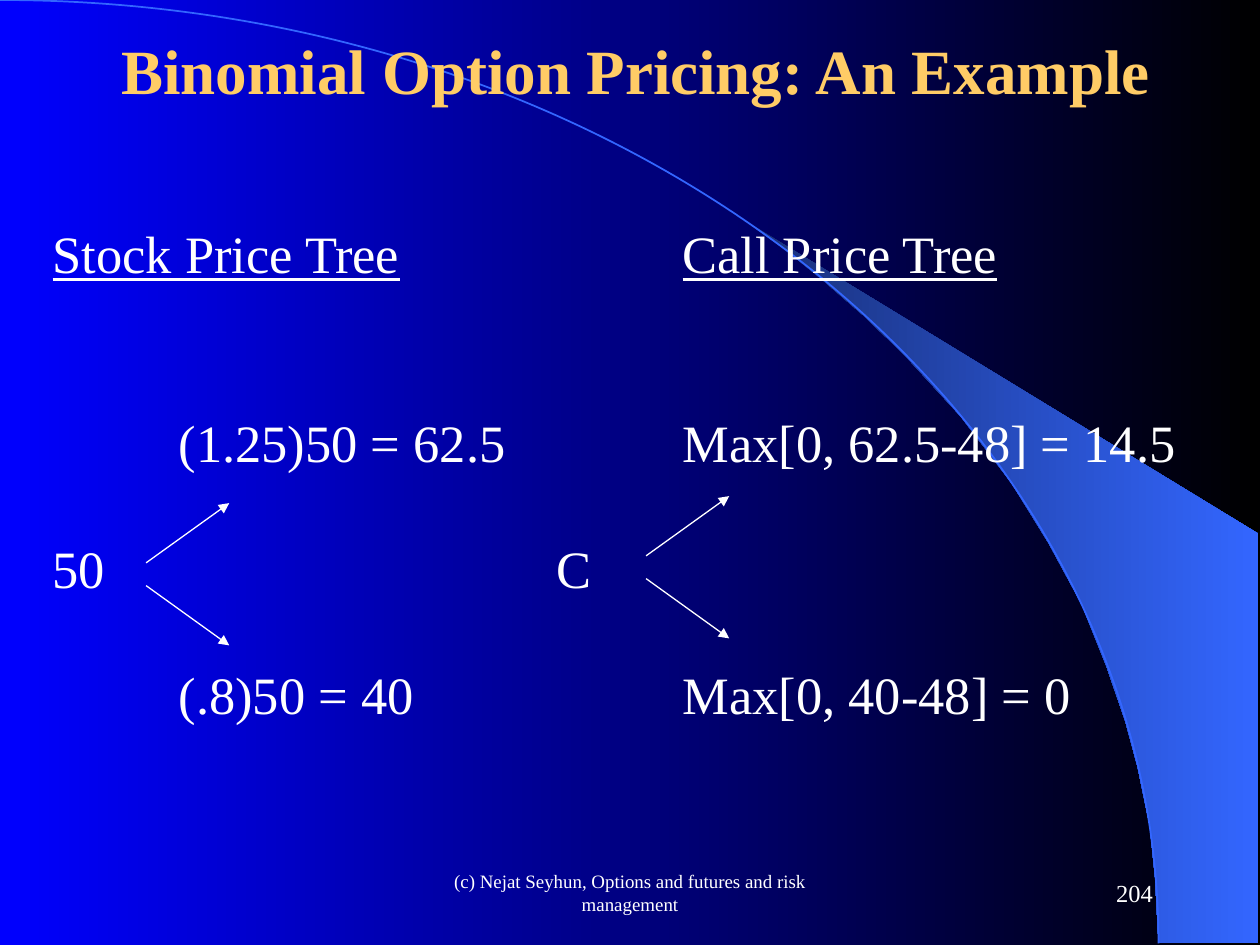
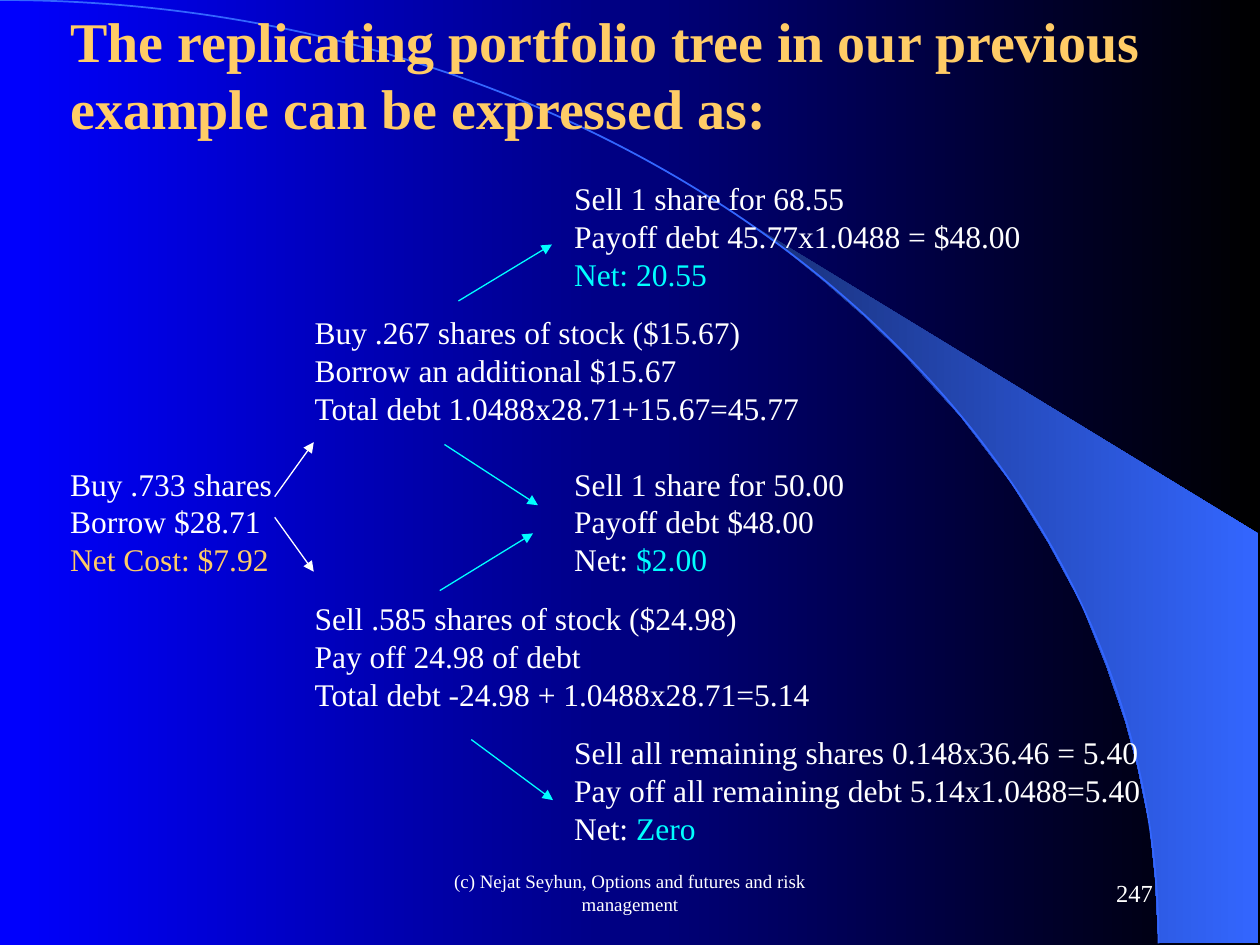
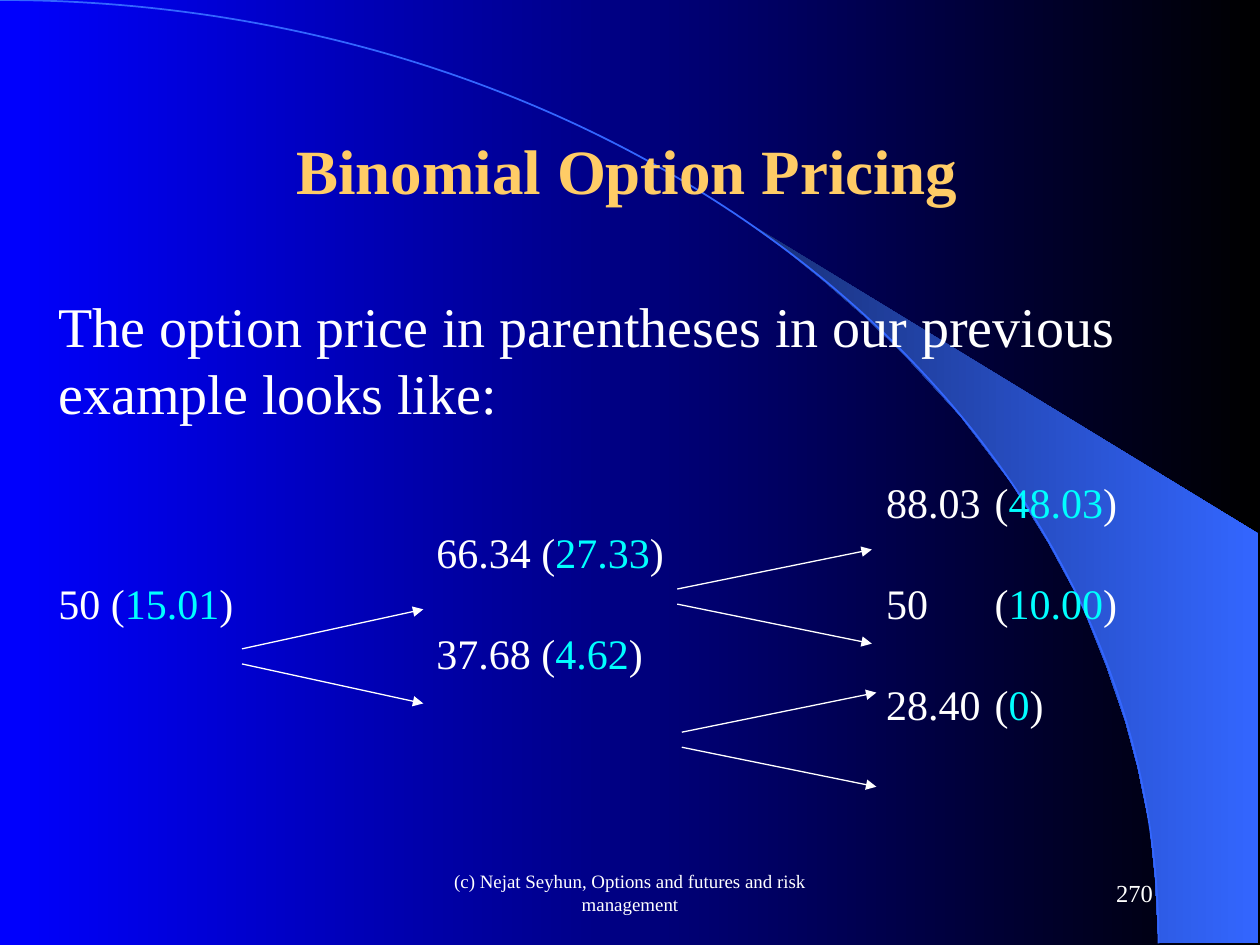
from dataclasses import dataclass

import lxml.etree
import pptx
import pptx.dml.color
import pptx.enum.shapes
import pptx.enum.text
import pptx.oxml
import pptx.oxml.ns
import pptx.util

Pt = pptx.util.Pt
Align = pptx.enum.text.PP_ALIGN
Anchor = pptx.enum.text.MSO_ANCHOR


@dataclass(frozen=True)
class Theme:
    font: str = "Times New Roman"
    text: str = "FFFFFF"
    title: str = "FFCC66"
    accent: str = "00FFFF"
    arc: str = "3366FF"
    background: tuple = ("0000FF", "000000")
    band: tuple = ("182F76", "3366FF")
    large: float = 36
    heading: float = 32
    tree: float = 30
    prices: float = 24
    portfolio: float = 18
    number: float = 14
    footer: float = 10.8


THEME = Theme()
SLIDE_SIZE = (720, 540)
FOOTER = "(c) Nejat Seyhun, Options and futures and risk management"
FOOTER_BOX = (246, 492, 228, 36)
NUMBER_BOX = (516, 492, 150, 36)
# Start, two control points and end of the arc
ARC_CURVE = [(0, 0), (365.8, 0), (662.4, 241.2), (662.4, 539.3)]
BAND_OUTLINE = [
    (662.4, 538.6), (719.3, 539.3), (719.3, 304.6), (424.1, 124.6),
    (449.3, 143.3), (470.2, 159.8), (493.2, 180), (515.5, 201.6),
    (548.6, 237.6), (578.2, 276.5), (599, 310.3), (617.8, 344.9),
    (632.2, 380.2), (643, 411.8), (650.2, 438.5), (657.4, 472.3),
    (660.2, 501.1),
]


@dataclass
class Row:
    """One line of text: plain strings or (text, format) pairs."""
    runs: tuple
    before: float = 0


def row(*runs, before=0):
    return Row(runs, before)


def colour(value):
    return pptx.dml.color.RGBColor.from_string(value)


def apply(target, values):
    for name, value in values.items():
        setattr(target, name, value)


def place(shape, box):
    apply(shape, dict(zip(("left", "top", "width", "height"), map(Pt, box))))


def gradient(fill, colours):
    fill.gradient()
    fill.gradient_angle = 0
    for stop, value in zip(fill.gradient_stops, colours):
        stop.color.rgb = colour(value)


def set_tabs(paragraph, tabs):
    """Set left tab stops, given in points."""
    stops = "".join(f'<a:tab pos="{int(Pt(tab))}" algn="l"/>' for tab in tabs)
    paragraph._p.get_or_add_pPr().append(pptx.oxml.parse_xml(
        f'<a:tabLst {pptx.oxml.ns.nsdecls("a")}>{stops}</a:tabLst>'))


def write(shape, box, rows, size, tabs=(), align=Align.LEFT,
          anchor=Anchor.TOP, **style):
    """Place a text shape and fill it with rows in one base style."""
    place(shape, box)
    frame = shape.text_frame
    apply(frame, {"word_wrap": True, "vertical_anchor": anchor,
                  "auto_size": pptx.enum.text.MSO_AUTO_SIZE.NONE})
    base = {"name": THEME.font, "size": size, "color": THEME.text, **style}
    for index, line in enumerate(rows):
        paragraph = frame.paragraphs[0] if index == 0 else frame.add_paragraph()
        if tabs:
            set_tabs(paragraph, tabs)
        apply(paragraph, {"alignment": align, "space_before": Pt(line.before)})
        for part in line.runs:
            text, extra = (part, {}) if isinstance(part, str) else part
            run = paragraph.add_run()
            run.text = text
            values = {**base, **extra}
            run.font.color.rgb = colour(values.pop("color"))
            values["size"] = Pt(values["size"])
            apply(run.font, values)


# Shared parts

def outline(slide, points, close):
    builder = slide.shapes.build_freeform(*points[0], scale=float(Pt(1)))
    builder.add_line_segments(points[1:], close=close)
    shape = builder.convert_to_shape()
    shape.shadow.inherit = False
    return shape


def bend(shape):
    """Turn the three segments of an outline into one cubic curve."""
    tag = pptx.oxml.ns.qn
    segments = list(shape.element.iter(tag("a:lnTo")))
    curve = lxml.etree.SubElement(segments[0].getparent(),
                                  tag("a:cubicBezTo"))
    for segment in segments:
        curve.append(segment[0])
        segment.getparent().remove(segment)


def decorate_master(deck, slide):
    """Give the master its gradient, band and arc, drawn through a slide."""
    master = deck.slide_master
    gradient(master.background.fill, THEME.background)

    band = outline(slide, BAND_OUTLINE, close=True)
    gradient(band.fill, THEME.band)
    band.line.fill.background()

    arc = outline(slide, ARC_CURVE, close=False)
    bend(arc)
    arc.fill.background()
    arc.line.color.rgb = colour(THEME.arc)
    arc.line.width = Pt(1)

    for position, part in enumerate((band, arc), start=2):
        master.shapes.element.insert(position, part.element)


def add_text(slide, box, rows, size, **layout):
    write(slide.shapes.add_textbox(0, 0, 0, 0), box, rows, size, **layout)


def add_slide(deck, number):
    slide = deck.slides.add_slide(deck.slide_layouts.get_by_name("Title Only"))
    for text, box, size, align in (
            (FOOTER, FOOTER_BOX, THEME.footer, Align.CENTER),
            (number, NUMBER_BOX, THEME.number, Align.RIGHT)):
        add_text(slide, box, [row(text)], size, align=align,
                 anchor=Anchor.MIDDLE)
    return slide


def add_title(slide, box, text, size, **layout):
    write(slide.shapes.title, box, [row(text)], size,
          color=THEME.title, bold=True, **layout)


def add_arrow(shapes, start, end, line_colour):
    arrow = shapes.add_connector(pptx.enum.shapes.MSO_CONNECTOR.STRAIGHT,
                                 *map(Pt, (*start, *end)))
    arrow.line.color.rgb = colour(line_colour)
    arrow.line.width = Pt(0.75)
    namespace = pptx.oxml.ns.nsdecls("a")
    arrow.line._get_or_add_ln().append(
        pptx.oxml.parse_xml(f'<a:tailEnd {namespace} type="triangle"/>'))
    arrow._element.spPr.append(
        pptx.oxml.parse_xml(f"<a:effectLst {namespace}/>"))


def add_fork(slide, box):
    """Two arrows that spread from the left middle to the right corners."""
    left, top, width, height = box
    middle, half_gap = top + height / 2, height * 0.08
    branches = slide.shapes.add_group_shape().shapes
    for start_y, end_y in ((middle - half_gap, top),
                           (middle + half_gap, top + height)):
        add_arrow(branches, (left, start_y), (left + width, end_y), THEME.text)


# Slides

def price_tree_slide(slide):
    add_title(slide, (23, 14.4, 681, 52), "Binomial Option Pricing: An Example",
              THEME.large, align=Align.CENTER)
    underlined = {"underline": True}
    line = THEME.tree * 1.2
    add_text(slide, (23, 123, 681, 331), [
        row(("Stock Price Tree", underlined), "\t\t",
            ("Call Price Tree", underlined)),
        row("\t(1.25)50 = 62.5\t\tMax[0, 62.5-48] = 14.5", before=2 * line),
        row("50\t\tC", before=line),
        row("\t(.8)50 = 40\t\tMax[0, 40-48] = 0", before=line),
    ], THEME.tree, tabs=(72, 288, 360))
    for corner in ((83.5, 287.5), (369.2, 283.5)):
        add_fork(slide, (*corner, 47.5, 81.3))


def portfolio_slide(slide):
    add_title(slide, (33, 0, 668, 86), "The replicating portfolio tree in our "
              "previous example can be expressed as:", THEME.heading)
    accent, gold = {"color": THEME.accent}, {"color": THEME.title}
    add_text(slide, (33, 98.8, 668, 389), [
        row("\t\tSell 1 share for 68.55"),
        row("\t\tPayoff debt 45.77x1.0488 = $48.00"),
        row("\t\t", ("Net: 20.55", accent)),
        row("\tBuy .267 shares of stock ($15.67)", before=12),
        row("\tBorrow an additional $15.67"),
        row("\tTotal debt 1.0488x28.71+15.67=45.77"),
        row("Buy .733 shares\t\tSell 1 share for 50.00",
            before=THEME.portfolio * 1.2),
        row("Borrow $28.71\t\tPayoff debt $48.00"),
        row(("Net Cost: $7.92\t\t", gold), "Net: ", ("$2.00", accent)),
        row("\tSell .585 shares of stock ($24.98)", before=12),
        row("\tPay off 24.98 of debt"),
        row("\tTotal debt -24.98 + 1.0488x28.71=5.14"),
        row("\t\tSell all remaining shares 0.148x36.46 = 5.40", before=12),
        row("\t\tPay off all remaining debt 5.14x1.0488=5.40"),
        row("\t\tNet: ", ("Zero", accent)),
    ], THEME.portfolio, tabs=(139.7, 288))
    add_fork(slide, (157, 252.7, 22.3, 74))
    for start, end in (((262, 172), (315.4, 139.7)),
                       ((251.3, 337.5), (304.6, 304.8)),
                       ((254, 254), (307.4, 288.7)),
                       ((269.3, 422.6), (316, 457.2))):
        add_arrow(slide.shapes, start, end, THEME.accent)


def option_price_slide(slide):
    add_title(slide, (162.2, 71.3, 400, 50.4), "Binomial Option Pricing",
              THEME.large)
    accent = {"color": THEME.accent}

    def priced(lead, option, rest=")", **spacing):
        return row(lead + "(", (option, accent), rest, **spacing)

    middle_row = priced("50 ", "15.01", ")\t\t50\t(")
    middle_row.runs += (("10.00", accent), ")")
    add_text(slide, (26.3, 163.1, 651.6, 285.8), [
        row(("The option price in parentheses in our previous example "
             "looks like:", {"size": THEME.heading})),
        priced("\t\t88.03\t", "48.03", before=THEME.prices * 1.2),
        priced("\t66.34 ", "27.33"),
        middle_row,
        priced("\t37.68 ", "4.62"),
        priced("\t\t28.40\t", "0"),
    ], THEME.prices, tabs=(216, 473, 535))
    for left, top, width in ((138.3, 348.2, 103.6), (387, 314, 111.2),
                             (389.6, 395.8, 111.2)):
        add_fork(slide, (left, top, width, 53.8))


def main():
    deck = pptx.Presentation()
    deck.slide_width, deck.slide_height = map(Pt, SLIDE_SIZE)
    pages = (("204", price_tree_slide), ("247", portfolio_slide),
             ("270", option_price_slide))
    for index, (number, fill_slide) in enumerate(pages):
        slide = add_slide(deck, number)
        if index == 0:
            decorate_master(deck, slide)
        fill_slide(slide)
    deck.save("out.pptx")


if __name__ == "__main__":
    main()
